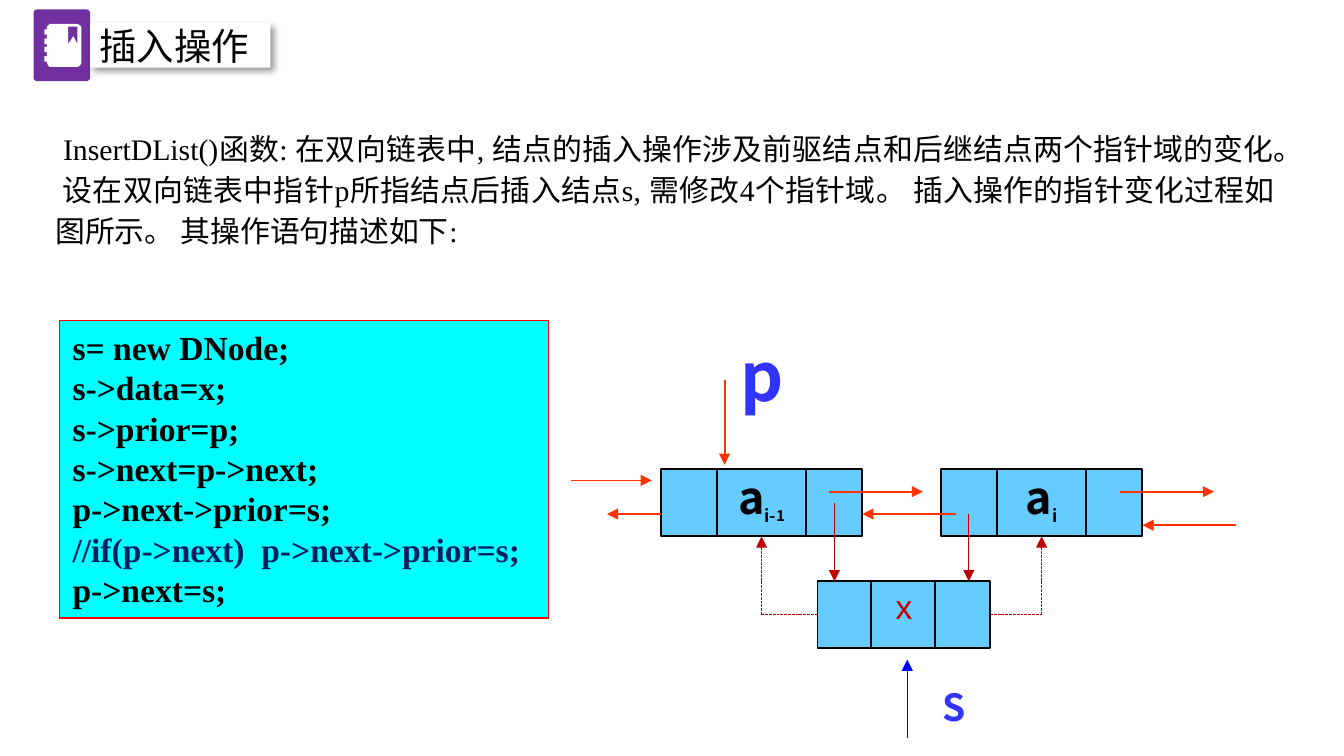
from dataclasses import dataclass

import pptx
import pptx.util
import pptx.dml.color
import pptx.enum.dml
import pptx.enum.shapes
import pptx.enum.text
import pptx.oxml
import pptx.oxml.ns

# The slide is a grid of 120 columns by 67.5 rows of square cells.
CELL = pptx.util.Inches(10) // 120
COLUMNS, ROWS = 120, 67.5
COLORS = {
    "black": "000000", "white": "FFFFFF", "purple": "7030A0", "cyan": "00FFFF",
    "red": "FF0000", "navy": "002060", "node": "66CCFF", "link": "FF3300",
    "new_link": "C00000", "label": "3333FF", "pointer": "0000FF",
}
SERIF, SANS = "Times New Roman", "Noto Sans CJK SC"
ALIGN = pptx.enum.text.PP_ALIGN
SHAPES = pptx.enum.shapes.MSO_SHAPE
CODE = ["s= new DNode;", "s->data=x;", "s->prior=p;", "s->next=p->next;",
        "p->next->prior=s;", "//if(p->next)  p->next->prior=s;", "p->next=s;"]
BODY = (" InsertDList()函数: 在双向链表中, 结点的插入操作涉及前驱结点和后继结点两个指针域的变化。 "
        "设在双向链表中指针p所指结点后插入结点s, 需修改4个指针域。 "
        "插入操作的指针变化过程如图所示。 其操作语句描述如下:")


@dataclass
class Box:
    """A rectangle measured in grid cells."""
    left: float
    top: float
    width: float
    height: float

    def inside(self, column, row, width, height):
        return Box(self.left + column, self.top + row, width, height)

    def emu(self):
        return [round(v * CELL) for v in (self.left, self.top, self.width, self.height)]


def rgb(name):
    return pptx.dml.color.RGBColor.from_string(COLORS[name])


def paint(shape, fill, line=None, width=1):
    shape.shadow.inherit = False
    shape.fill.solid()
    shape.fill.fore_color.rgb = rgb(fill)
    if line:
        shape.line.color.rgb = rgb(line)
        shape.line.width = pptx.util.Pt(width)
    else:
        shape.line.fill.background()
    return shape


def add_rectangle(slide, box, fill, line=None, width=1, kind=SHAPES.RECTANGLE):
    return paint(slide.shapes.add_shape(kind, *box.emu()), fill, line, width)


def set_frame(shape, wrap=True, anchor="TOP", insets=None):
    frame = shape.text_frame
    frame.word_wrap = wrap
    frame.vertical_anchor = pptx.enum.text.MSO_ANCHOR[anchor]
    if insets:
        frame.margin_left = frame.margin_right = pptx.util.Inches(insets[0])
        frame.margin_top = frame.margin_bottom = pptx.util.Inches(insets[1])
    return frame


def style(paragraph, font, size, color, bold=False, align=ALIGN.LEFT, spacing=None):
    paragraph.alignment = align
    if spacing:
        paragraph.line_spacing = spacing
    paragraph.font.name = font
    paragraph.font.size = pptx.util.Pt(size)
    paragraph.font.bold = bold
    paragraph.font.color.rgb = rgb(color)


def add_label(slide, box, text, font, size, color, bold=False, wrap=True, spacing=None):
    frame = set_frame(slide.shapes.add_textbox(*box.emu()), wrap)
    frame.paragraphs[0].text = text
    style(frame.paragraphs[0], font, size, color, bold, spacing=spacing)


def add_line(slide, box, start, end, color, width=1, arrow=True, dashed=False):
    """Draw a line between two (column, row) points of the box."""
    ends = [round(v * CELL) for column, row in (start, end)
            for v in (box.left + column, box.top + row)]
    line = slide.shapes.add_connector(pptx.enum.shapes.MSO_CONNECTOR.STRAIGHT, *ends)
    line.line.color.rgb = rgb(color)
    line.line.width = pptx.util.Pt(width)
    if dashed:
        line.line.dash_style = pptx.enum.dml.MSO_LINE.SQUARE_DOT
    properties = line._element.spPr
    if arrow:
        tail = pptx.oxml.parse_xml(
            f'<a:tailEnd {pptx.oxml.ns.nsdecls("a")} type="triangle"/>')
        line.line._get_or_add_ln().append(tail)
    properties.append(pptx.oxml.parse_xml(f'<a:effectLst {pptx.oxml.ns.nsdecls("a")}/>'))


def add_notebook(slide, box):
    """White notebook with four rings and a bookmark cut out, on a 28 by 32 grid."""
    rings = [point for top in (4, 10.7, 17.3, 24)
             for point in ((2, top), (0, top), (0, top + 4), (2, top + 4))]
    outline = [(4, 0), (2.6, 0.6), (2, 2), *rings, (2, 29), (2.7, 31), (4, 32),
               (25, 32), (27.2, 31), (28, 29), (28, 2), (27.2, 0.6)]
    left, top, width, height = box.emu()
    builder = slide.shapes.build_freeform(25, 0, scale=(width / 28, height / 32))
    builder.add_line_segments(outline, close=True)
    builder.move_to(25, 15)
    builder.add_line_segments([(22, 9), (18, 15), (18, 2), (25, 2)], close=True)
    paint(builder.convert_to_shape(left, top), "white")


def add_header(slide, box):
    icon = add_rectangle(slide, box.inside(0, 0, 5.04, 6.4), "purple",
                         kind=SHAPES.ROUNDED_RECTANGLE)
    icon.adjustments[0] = 0.06
    add_notebook(slide, box.inside(0.96, 1.3, 3.3, 3.84))

    # Title plate with a soft shadow
    plate = add_rectangle(slide, box.inside(5.04, 1.2, 16.1, 4), "white")
    effects = plate._element.spPr.find(pptx.oxml.ns.qn("a:effectLst"))
    effects.append(pptx.oxml.parse_xml(
        f'<a:outerShdw {pptx.oxml.ns.nsdecls("a")} blurRad="50800" dist="38100" '
        'dir="2700000" algn="tl" rotWithShape="0"><a:srgbClr val="000000">'
        '<a:alpha val="40000"/></a:srgbClr></a:outerShdw>'))
    paragraph = set_frame(plate, insets=(0.07, 0.04)).paragraphs[0]
    paragraph.text = "插入操作"
    style(paragraph, "Calibri", 20, "black", spacing=0.9)


def add_body(slide, box):
    frame = set_frame(slide.shapes.add_textbox(*box.emu()), insets=(0.07, 0.04))
    frame.paragraphs[0].text = BODY
    style(frame.paragraphs[0], SERIF, 16, "black", align=ALIGN.JUSTIFY,
          spacing=pptx.util.Pt(22))


def add_code(slide, box):
    frame = set_frame(add_rectangle(slide, box, "cyan", "red", 0.75))
    for index, text in enumerate(CODE):
        paragraph = frame.add_paragraph() if index else frame.paragraphs[0]
        paragraph.text = text
        style(paragraph, SERIF, 18, "navy" if text.startswith("//") else "black", True)


def add_node(slide, box, subscripts):
    """A list node: prior field, data field and next field."""
    data, *_ = [add_rectangle(slide, box.inside(column, 0, width, box.height), "node", "black")
                for column, width in ((5, 8), (13, 5), (0, 5))]
    paragraph = set_frame(data, wrap=False, anchor="MIDDLE").paragraphs[0]
    style(paragraph, SANS, 24, "black", True, ALIGN.CENTER, 0.7)
    paragraph.add_run().text = "a"
    for text, size in subscripts:
        run = paragraph.add_run()
        run.text = text
        run.font.size = pptx.util.Pt(size)
        run.font._element.set("baseline", "-25000")


def add_diagram(slide, box):
    # Existing nodes and their links
    add_node(slide, box.inside(8, 13, 18, 6), [("i-", 16), ("1", 14)])
    add_node(slide, box.inside(33, 13, 18, 6), [("i", 16)])
    for start, end in [((0, 14), (7.2, 14)), ((8, 17), (3.2, 17)),
                       ((23, 15), (31.4, 15)), ((34.4, 17), (26, 17)),
                       ((49, 15), (57.4, 15)), ((59.4, 18), (51, 18)),
                       ((13.7, 5), (13.7, 12.6))]:
        add_line(slide, box, start, end, "link")
    add_label(slide, box.inside(13.9, 0.4, 5.4, 8.4), "p", SANS, 36, "label", True, wrap=False)

    # New node
    add_rectangle(slide, box.inside(22, 23, 15.4, 6), "node", "black")
    for column in (26.8, 32.5):
        add_line(slide, box, (column, 23), (column, 29), "black", arrow=False)
    add_line(slide, box, (30, 37), (30, 30), "pointer", 0.75)
    add_label(slide, box.inside(32, 33, 6, 3.6), "S", SANS, 20, "label", True, spacing=0.6)
    add_label(slide, box.inside(27.8, 22.8, 3.6, 4.8), "x", "Arial", 18, "new_link")

    # Links made by the insertion
    for edge, column in ((22, 17), (37.4, 42)):
        add_line(slide, box, (edge, 26), (column, 26), "new_link", 0.5, False, True)
        add_line(slide, box, (column, 26), (column, 19), "new_link", 0.5, True, True)
    for column, row in ((35.5, 17), (23.5, 16)):
        add_line(slide, box, (column, row), (column, 23), "new_link", 0.5)


def main():
    presentation = pptx.Presentation()
    presentation.slide_width = COLUMNS * CELL
    presentation.slide_height = round(ROWS * CELL)
    slide = presentation.slides.add_slide(presentation.slide_layouts[6])
    add_header(slide, Box(3, 0.84, 21.2, 6.4))
    add_body(slide, Box(4.1, 10.7, 110.6, 13.2))
    add_diagram(slide, Box(51, 28.9, 60, 38))
    add_code(slide, Box(5.3, 28.6, 43.7, 26.6))
    presentation.save("out.pptx")


if __name__ == "__main__":
    main()
